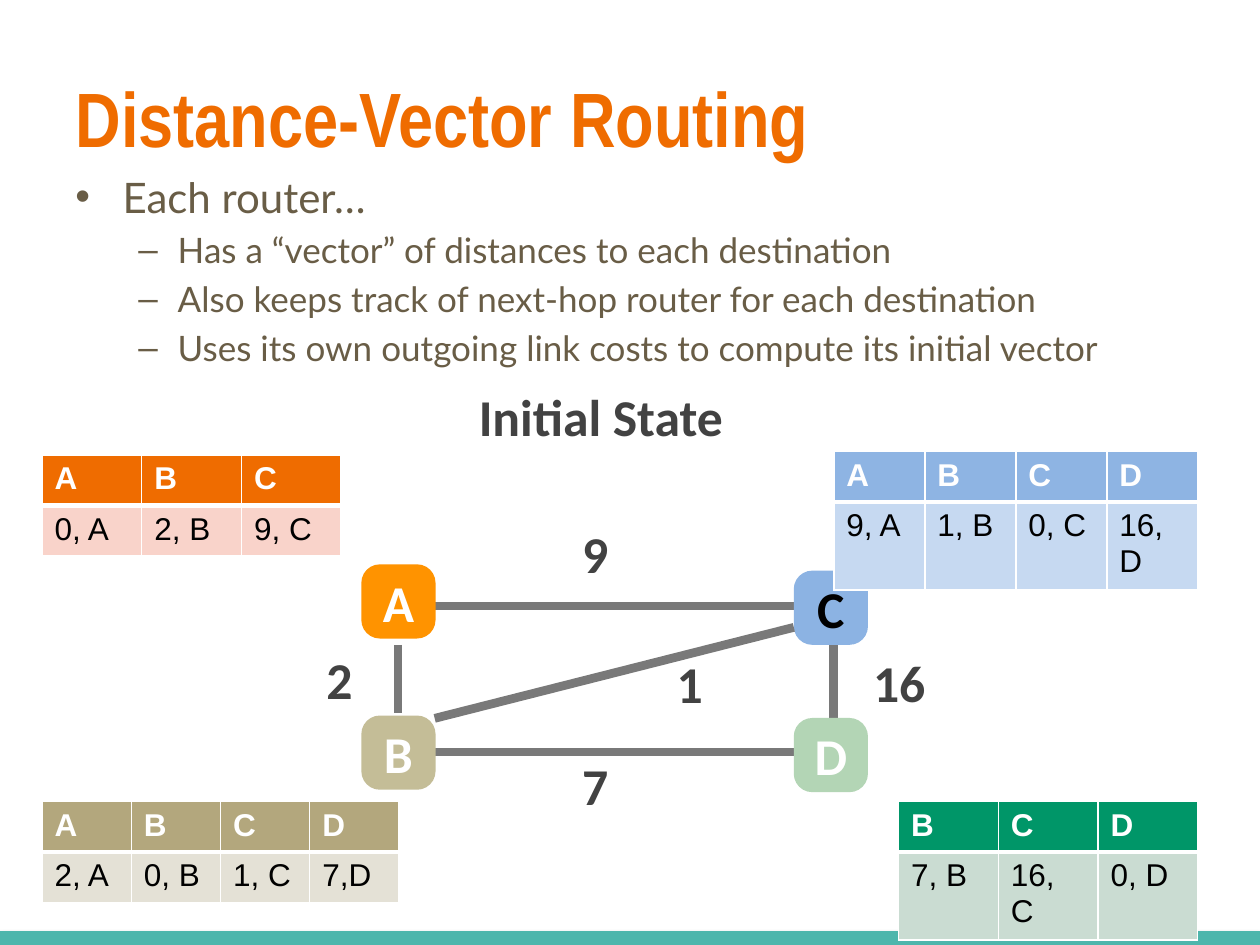
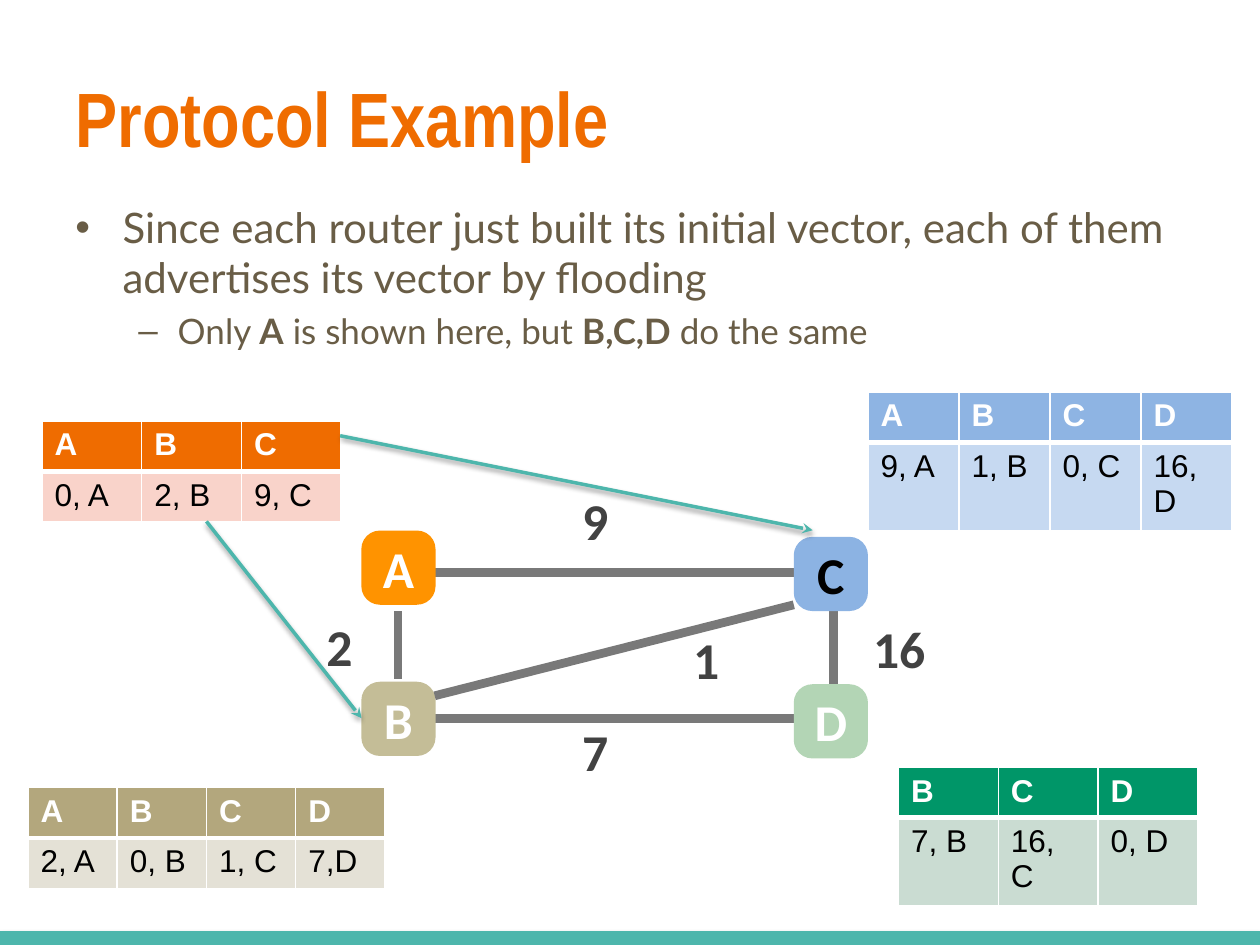
import pptx
import pptx.dml.color
import pptx.enum.shapes
import pptx.enum.text
import pptx.oxml.ns
import pptx.util
from lxml import etree

Pt = pptx.util.Pt
qn = pptx.oxml.ns.qn
PP_ALIGN = pptx.enum.text.PP_ALIGN
MIDDLE = pptx.enum.text.MSO_ANCHOR.MIDDLE

COLORS = {
    "title": "EF6C00", "body": "695D46", "label": "424242", "link": "797979",
    "teal": "4DB6AC", "white": "FFFFFF", "black": "000000",
    "node_a": "FF9300", "node_b": "C4BD97", "node_c": "8CB3E3", "node_d": "B3D5B5",
    "head_a": "EF6C00", "head_b": "B3A77D", "head_c": "8EB4E3", "head_d": "009668",
    "row_a": "F9D3CA", "row_b": "E4E1D6", "row_c": "C6D9F1", "row_d": "CADCD2",
}
LEVELS = [
    {"size": 24, "left": 27, "hang": 27, "before": 0, "bullet": "•"},
    {"size": 20, "left": 58.5, "hang": 22.5, "before": 4, "bullet": "–"},
]
VECTORS = {
    "a": (57, ["A", "B", "C"], ["0, A", "2, B", "9, C"]),
    "b": (51, ["A", "B", "C", "D"], ["2, A", "0, B", "1, C", "7,D"]),
    "c": (52, ["A", "B", "C", "D"], ["9, A", "1, B", "0, C", "16, D"]),
    "d": (57, ["B", "C", "D"], ["7, B", "16, C", "0, D"]),
}


def rgb(name):
    return pptx.dml.color.RGBColor.from_string(COLORS[name])


class Deck:
    def __init__(self):
        self.prs = pptx.Presentation()
        self.prs.slide_width, self.prs.slide_height = Pt(720), Pt(540)
        self.s = None

    def slide(self, title):
        self.s = self.prs.slides.add_slide(self.prs.slide_layouts[5])
        self.line(0, 537, 720, 537, "teal", 10, shadow=True)
        sp = self.s.shapes.title
        sp.left, sp.top, sp.width, sp.height = Pt(36), Pt(21.6), Pt(648), Pt(90)
        sp.text_frame.vertical_anchor = MIDDLE
        p = sp.text_frame.paragraphs[0]
        p.alignment = PP_ALIGN.LEFT
        self.run(p, title, "Arial Narrow", 44, "title", True)

    def run(self, p, text, font, size, color, bold=False):
        r = p.add_run()
        r.text = text
        r.font.name, r.font.size, r.font.bold = font, Pt(size), bold
        r.font.color.rgb = rgb(color)

    def line(self, x1, y1, x2, y2, color="link", width=5, shadow=False, arrow=False):
        straight = pptx.enum.shapes.MSO_CONNECTOR.STRAIGHT
        sp = self.s.shapes.add_connector(straight, Pt(x1), Pt(y1), Pt(x2), Pt(y2))
        sp.line.color.rgb = rgb(color)
        sp.line.width = Pt(width)
        if arrow:
            etree.SubElement(sp.line._get_or_add_ln(), qn("a:tailEnd"), type="stealth")
        effects = etree.SubElement(sp._element.spPr, qn("a:effectLst"))
        if shadow:
            outer = etree.SubElement(effects, qn("a:outerShdw"), blurRad=str(Pt(3.1)),
                                     dist=str(Pt(1.6)), dir="5400000", rotWithShape="0")
            clr = etree.SubElement(outer, qn("a:srgbClr"), val=COLORS["black"])
            etree.SubElement(clr, qn("a:alpha"), val="38000")

    def body(self, top, items):
        tf = self.s.shapes.add_textbox(Pt(36), Pt(top), Pt(648), Pt(356)).text_frame
        tf.word_wrap = True
        for i, (level, runs) in enumerate(items):
            p = tf.paragraphs[0] if i == 0 else tf.add_paragraph()
            style = LEVELS[level]
            p.level = level
            p.space_before = Pt(style["before"])
            pPr = p._p.get_or_add_pPr()
            pPr.set("marL", str(Pt(style["left"])))
            pPr.set("indent", str(-Pt(style["hang"])))
            clr = etree.SubElement(pPr, qn("a:buClr"))
            etree.SubElement(clr, qn("a:srgbClr"), val=COLORS["body"])
            etree.SubElement(pPr, qn("a:buFont"), typeface="Arial")
            etree.SubElement(pPr, qn("a:buChar"), char=style["bullet"])
            for j, text in enumerate(runs):
                self.run(p, text, "Lato", style["size"], "body", j % 2 == 1)

    def label(self, text, x, y, width=21):
        tf = self.s.shapes.add_textbox(Pt(x), Pt(y), Pt(width), Pt(42)).text_frame
        tf.word_wrap = False
        tf.vertical_anchor = MIDDLE
        tf.margin_left = tf.margin_right = tf.margin_top = tf.margin_bottom = Pt(2.9)
        self.run(tf.paragraphs[0], text, "Calibri", 29.5, "label", True)

    def node(self, name, x, y, color="white"):
        kind = pptx.enum.shapes.MSO_SHAPE.ROUNDED_RECTANGLE
        sp = self.s.shapes.add_shape(kind, Pt(x), Pt(y), Pt(42.4), Pt(42.4))
        sp.adjustments[0] = 0.25
        sp.shadow.inherit = False
        sp.fill.solid()
        sp.fill.fore_color.rgb = rgb("node_" + name.lower())
        sp.line.fill.background()
        tf = sp.text_frame
        tf.vertical_anchor = MIDDLE
        tf.margin_left = tf.margin_right = tf.margin_top = tf.margin_bottom = 0
        p = tf.paragraphs[0]
        p.alignment = PP_ALIGN.CENTER
        self.run(p, name, "Calibri", 29.5, color, True)

    def vector(self, router, x, y):
        col_width, *rows = VECTORS[router]
        n = len(rows[0])
        table = self.s.shapes.add_table(2, n, Pt(x), Pt(y), Pt(n * col_width), Pt(46)).table
        for col in table.columns:
            col.width = Pt(col_width)
        for i, (texts, fill, color) in enumerate(
                zip(rows, ("head_" + router, "row_" + router), ("white", "black"))):
            for j, text in enumerate(texts):
                cell = table.cell(i, j)
                self.run(cell.text_frame.paragraphs[0], text, "Arial", 18, color, i == 0)
                edges = {"L": 1, "R": 1, "T": 3 if i else 1, "B": 1 if i else 3}
                for side, width in edges.items():
                    ln = etree.SubElement(cell._tc.get_or_add_tcPr(), qn("a:ln" + side),
                                          w=str(Pt(width)))
                    solid = etree.SubElement(ln, qn("a:solidFill"))
                    etree.SubElement(solid, qn("a:srgbClr"), val=COLORS["white"])
                cell.fill.solid()
                cell.fill.fore_color.rgb = rgb(fill)

    def network(self, top, diagonal_top, cost_one):
        self.line(227.5, top + 46, 227.5, top + 85)
        self.line(248, top + 107.3, 453.6, top + 107.3)
        self.line(476.5, top + 46, 476.5, top + 88)
        self.line(248, top + 23.8, 453.6, top + 23.8)
        self.node("A", 206.5, top)
        self.node("B", 206.5, top + 86.4)
        self.node("C", 453.6, top + 3.6, "black")
        self.node("D", 453.6, top + 87.8)
        self.line(248.4, diagonal_top + 52, 453.6, diagonal_top)
        self.label("9", 329.8, top - 27.4)
        self.label("7", 329.8, top + 105)
        self.label("2", 183.6, top + 44.6)
        self.label("16", 496, top + 46, 36)
        self.label("1", *cost_one)


def main():
    deck = Deck()

    deck.slide("Distance-Vector Routing")
    deck.body(94.3, [
        (0, ["Each router…"]),
        (1, ["Has a “vector” of distances to each destination"]),
        (1, ["Also keeps track of next-hop router for each destination"]),
        (1, ["Uses its own outgoing link costs to compute its initial vector"]),
    ])
    deck.network(322.5, 358.5, (383.8, 369.4))
    deck.label("Initial State", 270.7, 216.7, 147)
    deck.vector("a", 24, 260)
    deck.vector("b", 24, 458)
    deck.vector("c", 476.5, 258)
    deck.vector("d", 513.5, 458)

    deck.slide("Protocol Example")
    deck.body(111.6, [
        (0, ["Since each router just built its initial vector, each of them "
             "advertises its vector by flooding"]),
        (1, ["Only ", "A", " is shown here, but ", "B,C,D", " do the same"]),
    ])
    deck.network(303.2, 345.6, (393.1, 355.7))
    deck.vector("a", 24, 240.5)
    deck.vector("b", 16, 450)
    deck.vector("c", 496, 224)
    deck.vector("d", 513.5, 438.5)
    deck.line(194.4, 249, 464.4, 303, "teal", 2, shadow=True, arrow=True)
    deck.line(118, 298, 206.6, 410.4, "teal", 2, shadow=True, arrow=True)

    deck.prs.save("out.pptx")


if __name__ == "__main__":
    main()
